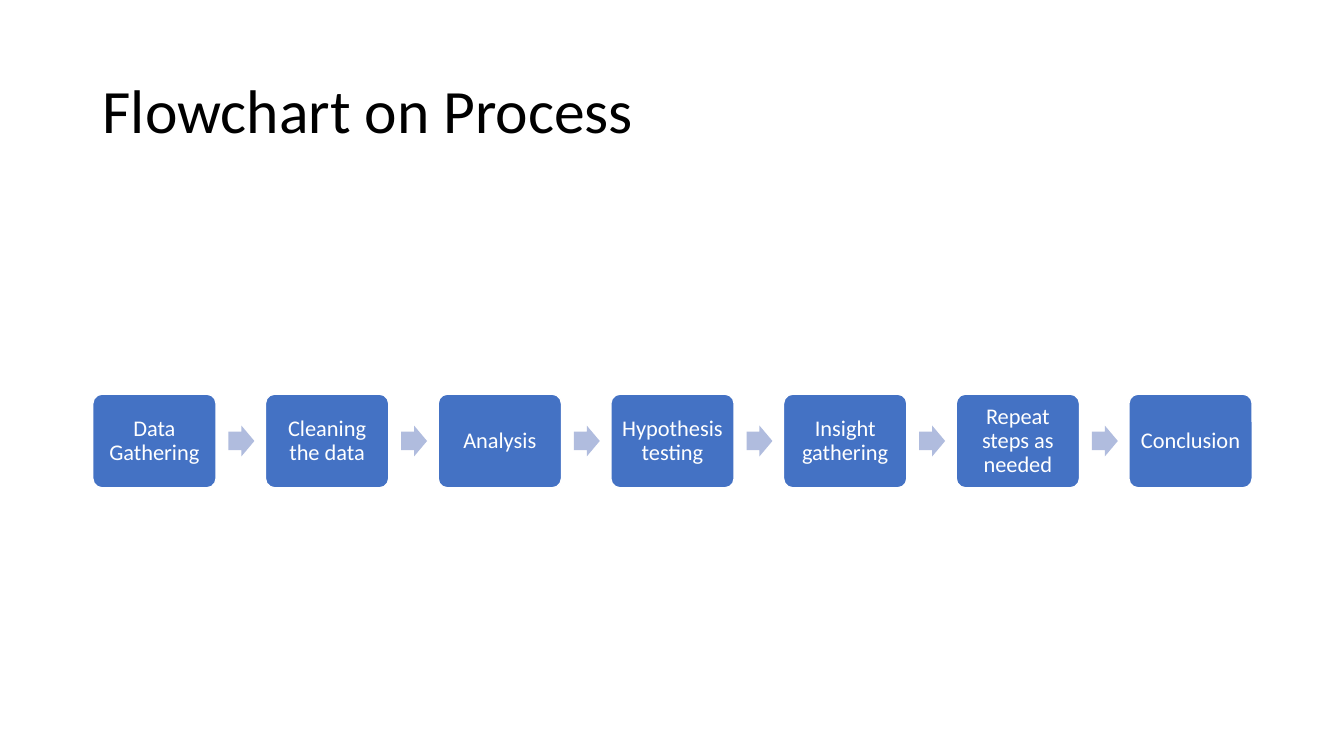
"""Build a one-slide flowchart of a data analysis process."""
from dataclasses import dataclass

from pptx import Presentation
from pptx.dml.color import RGBColor
from pptx.enum.shapes import MSO_SHAPE as Preset
from pptx.enum.text import MSO_ANCHOR as Anchor, PP_ALIGN as Align
from pptx.shapes.autoshape import Shape
from pptx.slide import Slide
from pptx.util import Inches, Pt

SLIDE_WIDTH, SLIDE_HEIGHT = 13.33, 7.5
LEFT, CONTENT_WIDTH = 0.92, 11.5
FLOW_MIDDLE = SLIDE_HEIGHT * 7 / 12
GAP_SHARE = 0.4
STEPS = (
    "Data Gathering",
    "Cleaning the data",
    "Analysis",
    "Hypothesis testing",
    "Insight gathering",
    "Repeat steps as needed",
    "Conclusion",
)
STEP_WIDTH = CONTENT_WIDTH / (len(STEPS) + GAP_SHARE * (len(STEPS) - 1))
PITCH = STEP_WIDTH * (1 + GAP_SHARE)


@dataclass(frozen=True)
class FlowStyle:
    """Look of a flow shape, with sizes as shares of the step width."""

    preset: Preset
    offset: float
    width: float
    height: float
    adjustments: tuple[float, ...]
    fill: str


STEP = FlowStyle(Preset.ROUNDED_RECTANGLE, 0, 1, 0.76, (0.1,), "4472C4")
ARROW = FlowStyle(Preset.RIGHT_ARROW, 1.1, 0.21, 0.25, (0.6, 0.5), "B0BCDE")


def color(code: str) -> RGBColor:
    """Turn a hex string into a colour."""
    return RGBColor.from_string(code)


def write(box: Shape, text: str, size: float, ink: str, align: Align, inset: tuple[float, float]) -> None:
    """Put one vertically centred paragraph into a box."""
    frame = box.text_frame
    frame.text = text
    frame.word_wrap = True
    frame.vertical_anchor = Anchor.MIDDLE
    frame.margin_left = frame.margin_right = Inches(inset[0])
    frame.margin_top = frame.margin_bottom = Inches(inset[1])
    para = frame.paragraphs[0]
    para.alignment = align
    para.line_spacing = 0.9
    font = para.runs[0].font
    font.name, font.size = "Calibri", Pt(size)
    font.color.rgb = color(ink)


def add_flow_shape(page: Slide, column: int, style: FlowStyle) -> Shape:
    """Draw a step or an arrow in its column, centred on the flow line."""
    height = STEP_WIDTH * style.height
    shape = page.shapes.add_shape(
        style.preset,
        Inches(LEFT + column * PITCH + STEP_WIDTH * style.offset),
        Inches(FLOW_MIDDLE - height / 2),
        Inches(STEP_WIDTH * style.width),
        Inches(height),
    )
    for index, value in enumerate(style.adjustments):
        shape.adjustments[index] = value
    shape.shadow.inherit = False
    shape.fill.solid()
    shape.fill.fore_color.rgb = color(style.fill)
    shape.line.fill.background()
    return shape


def add_step(page: Slide, column: int, label: str) -> None:
    """Draw a labelled step with a white outline."""
    step = add_flow_shape(page, column, STEP)
    step.line.color.rgb = color("FFFFFF")
    step.line.width = Pt(1)
    write(step, label, 16, "FFFFFF", Align.CENTER, (0.07, 0.07))


def main() -> None:
    """Create the deck and save it."""
    deck = Presentation()
    deck.slide_width, deck.slide_height = Inches(SLIDE_WIDTH), Inches(SLIDE_HEIGHT)
    page = deck.slides.add_slide(deck.slide_layouts[6])
    title = page.shapes.add_textbox(Inches(LEFT), Inches(0.4), Inches(CONTENT_WIDTH), Inches(1.45))
    write(title, "Flowchart on Process", 44, "000000", Align.LEFT, (0.1, 0.05))
    for column, label in enumerate(STEPS):
        add_step(page, column, label)
        if column < len(STEPS) - 1:
            add_flow_shape(page, column, ARROW)
    deck.save("out.pptx")


main()
